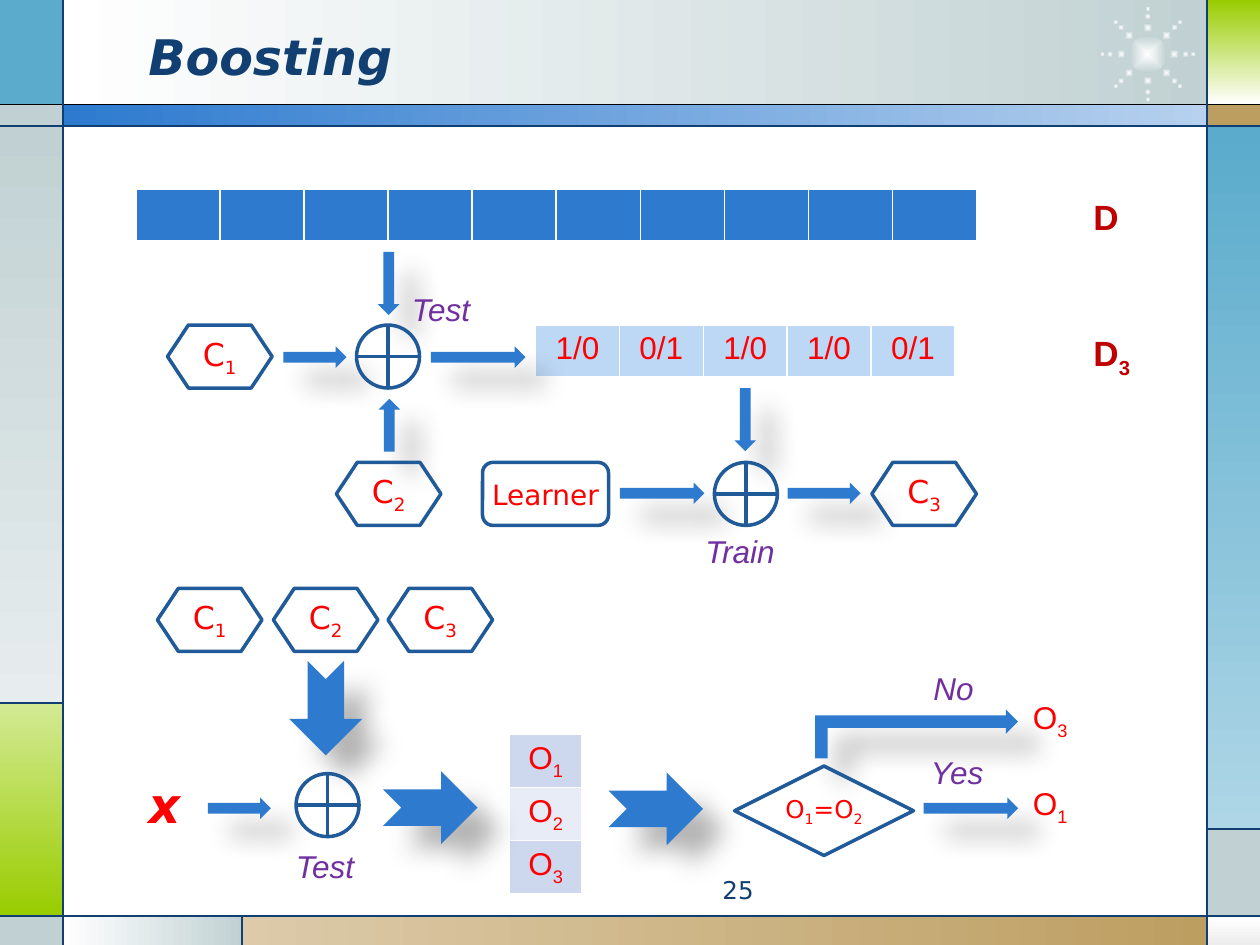
from dataclasses import dataclass
from math import cos, radians, sin
from typing import Optional

from lxml import etree
from pptx import Presentation
from pptx import util as u
from pptx.dml.color import RGBColor
from pptx.enum import shapes, text
from pptx.oxml.ns import qn

COLORS = {
    "blue": "2D7ACF", "outline": "215A99", "navy": "113F71", "black": "000000",
    "red": "FF0000", "dark red": "C00000", "purple": "7030A0", "white": "FFFFFF",
    "light blue": "BDD8F5", "band": "CDD7ED", "pale band": "E8ECF6",
    "teal": "5AABCC", "pale teal": "AED6E6", "grey": "C1D1D3", "pale grey": "E7EDEE",
    "silver": "EDEDED", "green": "99CC00", "pale green": "D3EA94",
    "tan": "BD9E61", "pale tan": "DCCAA9", "pale blue": "B7D1EE",
}
UNIT = 2.54  # centimetres in one layout unit; the slide is 10 by 7.5 units
SHAPE = shapes.MSO_SHAPE
RIGHT, DOWN, NOTCHED = SHAPE.RIGHT_ARROW, SHAPE.DOWN_ARROW, SHAPE.NOTCHED_RIGHT_ARROW
HEXAGON, ADDER = SHAPE.FLOWCHART_PREPARATION, SHAPE.FLOWCHART_OR
LEFT, CENTER, END = text.PP_ALIGN.LEFT, text.PP_ALIGN.CENTER, text.PP_ALIGN.RIGHT


@dataclass(frozen=True)
class Style:
    size: int
    color: str
    font: str = "Arial"
    bold: bool = False
    italic: bool = False


@dataclass(frozen=True)
class Panel:
    area: tuple
    start: str
    end: Optional[str] = None
    vertical: bool = False


@dataclass(frozen=True)
class Arrow:
    kind: int
    area: tuple
    rotation: int = 0
    flipped: bool = False


@dataclass(frozen=True)
class Node:
    kind: int
    area: tuple
    words: str = ""
    size: int = 18


@dataclass(frozen=True)
class Label:
    area: tuple
    words: str
    style: Style
    align: int = LEFT
    wrap: bool = False


TITLE = Style(28, "navy", "DejaVu Sans", True, True)
NUMBER = Style(14, "navy", "DejaVu Sans")
INPUT = Style(28, "red", "DejaVu Sans", True, True)
DATASET = Style(20, "dark red", bold=True)
STEP = Style(18, "purple", italic=True)
OUTPUT = Style(18, "red")

PANELS = [
    Panel((0.5, 0, 9.09, 0.84), "white", "grey"),
    Panel((0, 0, 0.5, 0.84), "teal"),
    Panel((0, 0.83, 0.5, 0.17), "grey"),
    Panel((0, 1, 0.5, 4.58), "grey", "pale grey", True),
    Panel((0, 5.58, 0.5, 1.69), "pale green", "green", True),
    Panel((0, 7.27, 0.5, 0.23), "grey"),
    Panel((0.5, 7.27, 1.43, 0.23), "white", "grey"),
    Panel((1.92, 7.27, 7.67, 0.23), "pale tan", "tan"),
    Panel((9.58, 7.27, 0.42, 0.23), "white", "silver", True),
    Panel((9.58, 6.58, 0.42, 0.7), "grey"),
    Panel((9.58, 1, 0.42, 5.58), "teal", "pale teal", True),
    Panel((9.58, 0.83, 0.42, 0.17), "tan"),
    Panel((9.58, 0, 0.42, 0.83), "green", "white", True),
    Panel((0.5, 0.83, 9.09, 0.17), "blue", "pale blue"),
]
RULES = [
    (0, 0.83, 10, 0.83, "black"), (0, 1, 10, 1, "navy"), (0, 7.27, 10, 7.27, "navy"),
    (0.5, 0, 0.5, 7.5, "navy"), (9.58, 0, 9.58, 7.5, "navy"), (0, 5.58, 0.5, 5.58, "navy"),
    (1.92, 7.27, 1.92, 7.5, "navy"), (9.58, 6.58, 10, 6.58, "navy"),
]
ARROWS = [
    Arrow(DOWN, (3, 2, 0.17, 0.5)), Arrow(DOWN, (5.83, 3.08, 0.17, 0.5)),
    Arrow(RIGHT, (2.25, 2.75, 0.5, 0.17)), Arrow(RIGHT, (3.42, 2.75, 0.75, 0.17)),
    Arrow(RIGHT, (2.88, 3.29, 0.42, 0.17), 270),
    Arrow(RIGHT, (4.92, 3.83, 0.67, 0.17)), Arrow(RIGHT, (6.25, 3.83, 0.58, 0.17)),
    Arrow(RIGHT, (1.65, 6.33, 0.5, 0.17)), Arrow(RIGHT, (7.33, 6.33, 0.75, 0.17)),
    Arrow(NOTCHED, (2.21, 5.33, 0.75, 0.58), 90),
    Arrow(NOTCHED, (3.04, 6.12, 0.75, 0.58)), Arrow(NOTCHED, (4.83, 6.13, 0.75, 0.58)),
    Arrow(SHAPE.BENT_UP_ARROW, (7.08, 5.02, 0.39, 1.61), 270, True),
]
NODES = [
    *(Node(ADDER, (x, y, 0.5, 0.5)) for x, y in ((2.83, 2.58), (5.67, 3.67), (2.35, 6.14))),
    *(Node(HEXAGON, (x, y, 0.83, 0.5), words) for x, y, words in (
        (1.33, 2.58, "C_1"), (2.67, 3.67, "C_2"), (6.92, 3.67, "C_3"),
        (1.25, 4.67, "C_1"), (2.17, 4.67, "C_2"), (3.08, 4.67, "C_3"))),
    Node(SHAPE.FLOWCHART_ALTERNATE_PROCESS, (3.83, 3.67, 1, 0.5), "Learner", 16),
    Node(SHAPE.FLOWCHART_DECISION, (5.83, 6.08, 1.42, 0.71), "O_1=O_2", 14),
]
LABELS = [
    Label((1.08, 0.13, 7.33, 0.62), "Boosting", TITLE, wrap=True),
    Label((3.75, 6.93, 2.33, 0.27), "25", NUMBER, END, True),
    Label((0.97, 6.13, 0.67, 0.5), "x", INPUT, CENTER, True),
    Label((8.58, 1.5, 0.41, 0.44), "D", DATASET),
    Label((8.58, 2.6, 0.51, 0.44), "D_3", DATASET),
    Label((5.5, 4.17, 0.77, 0.4), "Train", STEP),
    Label((3.17, 2.25, 0.67, 0.4), "Test", STEP),
    Label((2.25, 6.67, 0.67, 0.4), "Test", STEP),
    Label((7.31, 5.26, 0.52, 0.4), "No", STEP),
    Label((7.29, 5.93, 0.62, 0.4), "Yes", STEP),
    Label((8.09, 6.19, 0.49, 0.4), "O_1", OUTPUT, CENTER),
    Label((8.09, 5.51, 0.49, 0.4), "O_3", OUTPUT, CENTER),
]


def lengths(values) -> list:
    return [u.Cm(value * UNIT) for value in values]


def rgb(name: str) -> RGBColor:
    return RGBColor.from_string(COLORS[name])


def write(frame, words: str, style: Style, align: int = CENTER) -> None:
    """Write one paragraph; the character after each underscore is a subscript."""
    frame.vertical_anchor = text.MSO_ANCHOR.MIDDLE
    para = frame.paragraphs[0]
    para.alignment = align
    para.font.size, para.font.name = u.Pt(style.size), style.font
    para.font.bold, para.font.italic = style.bold, style.italic
    para.font.color.rgb = rgb(style.color)
    first, *others = words.split("_")
    para.add_run().text = first
    for part in others:
        span = para.add_run()
        span.text = part[0]
        span._r.get_or_add_rPr().set("baseline", "-25000")
        if part[1:]:
            para.add_run().text = part[1:]


def draw_shape(page, kind: int, area: tuple, start: Optional[str] = None,
               end: Optional[str] = None, vertical: bool = False):
    shape = page.shapes.add_shape(kind, *lengths(area))
    shape.shadow.inherit = False
    shape.line.fill.background()
    if start is None:
        shape.fill.background()
    elif end is None:
        shape.fill.solid()
        shape.fill.fore_color.rgb = rgb(start)
    else:
        shape.fill.gradient()
        shape.fill.gradient_angle = 270 if vertical else 0
        for stop, name in zip(shape.fill.gradient_stops, (start, end)):
            stop.color.rgb = rgb(name)
    return shape


def draw_rule(page, x1: float, y1: float, x2: float, y2: float, color: str) -> None:
    rule = page.shapes.add_connector(shapes.MSO_CONNECTOR.STRAIGHT, *lengths((x1, y1, x2, y2)))
    rule.line.color.rgb, rule.line.width = rgb(color), u.Pt(0.75)
    etree.SubElement(rule.element.spPr, qn("a:effectLst"))


def draw_dot(page, x: float, y: float, size: float) -> None:
    area = (x - size / 2, y - size / 2, size, size)
    dot = draw_shape(page, SHAPE.OVAL, area, "white", "grey")
    linear = dot.element.spPr.find(".//" + qn("a:lin"))
    radial = etree.Element(qn("a:path"), {"path": "shape"})
    etree.SubElement(radial, qn("a:fillToRect"), dict.fromkeys("ltrb", "50000"))
    linear.getparent().replace(linear, radial)


def draw_arrow(page, arrow: Arrow) -> None:
    shape = draw_shape(page, arrow.kind, arrow.area, "blue")
    shape.rotation = arrow.rotation
    if arrow.flipped:
        shape.element.spPr.xfrm.set("flipV", "1")
    effects = shape.element.spPr.find(qn("a:effectLst"))
    shadow = etree.SubElement(effects, qn("a:outerShdw"), {
        "blurRad": str(u.Pt(15)), "dist": str(u.Pt(18)), "dir": "2700000", "rotWithShape": "0"})
    color = etree.SubElement(shadow, qn("a:srgbClr"), val=COLORS["black"])
    etree.SubElement(color, qn("a:alpha"), val="30000")


def draw_node(page, node: Node) -> None:
    shape = draw_shape(page, node.kind, node.area)
    shape.line.color.rgb, shape.line.width = rgb("outline"), u.Pt(2)
    if node.words:
        frame = shape.text_frame
        frame.margin_left = frame.margin_right = 0
        write(frame, node.words, Style(node.size, "red", "DejaVu Sans"))


def draw_label(page, label: Label) -> None:
    frame = page.shapes.add_textbox(*lengths(label.area)).text_frame
    frame.word_wrap = label.wrap
    if not label.wrap:
        frame.auto_size = text.MSO_AUTO_SIZE.SHAPE_TO_FIT_TEXT
    write(frame, label.words, label.style, label.align)


def draw_table(page, area: tuple, rows: list, fills: list) -> None:
    table = page.shapes.add_table(len(rows), len(rows[0]), *lengths(area)).table
    table.first_row = table.horz_banding = False
    for r, (row, fill) in enumerate(zip(rows, fills)):
        for c, words in enumerate(row):
            cell = table.cell(r, c)
            cell.margin_left = cell.margin_right = 0
            cell.fill.solid()
            cell.fill.fore_color.rgb = rgb(fill)
            if words:
                write(cell.text_frame, words, OUTPUT)


def main() -> None:
    deck = Presentation()
    deck.slide_width, deck.slide_height = lengths((10, 7.5))
    page = deck.slides.add_slide(deck.slide_layouts[6])

    # Frame, with a burst of dots in the top corner
    for panel in PANELS:
        draw_shape(page, SHAPE.RECTANGLE, panel.area, panel.start, panel.end, panel.vertical)
    draw_dot(page, 9.11, 0.43, 0.3)
    for angle in range(0, 360, 45):
        for radius, size in ((0.21, 0.07), (0.3, 0.05), (0.36, 0.04)):
            turn = radians(angle)
            draw_dot(page, 9.11 + radius * cos(turn), 0.43 + radius * sin(turn), size)
    for rule in RULES:
        draw_rule(page, *rule)

    # Data strips and classifier outputs
    draw_table(page, (1.08, 1.5, 6.67, 0.41), [[""] * 10], ["blue"])
    draw_table(page, (4.25, 2.58, 3.33, 0.41), [["1/0", "0/1", "1/0", "1/0", "0/1"]], ["light blue"])
    draw_table(page, (4.04, 5.83, 0.58, 1.22), [["O_1"], ["O_2"], ["O_3"]],
               ["band", "pale band", "band"])

    # Flow diagram
    for arrow in ARROWS:
        draw_arrow(page, arrow)
    for node in NODES:
        draw_node(page, node)
    for label in LABELS:
        draw_label(page, label)
    deck.save("out.pptx")


if __name__ == "__main__":
    main()
